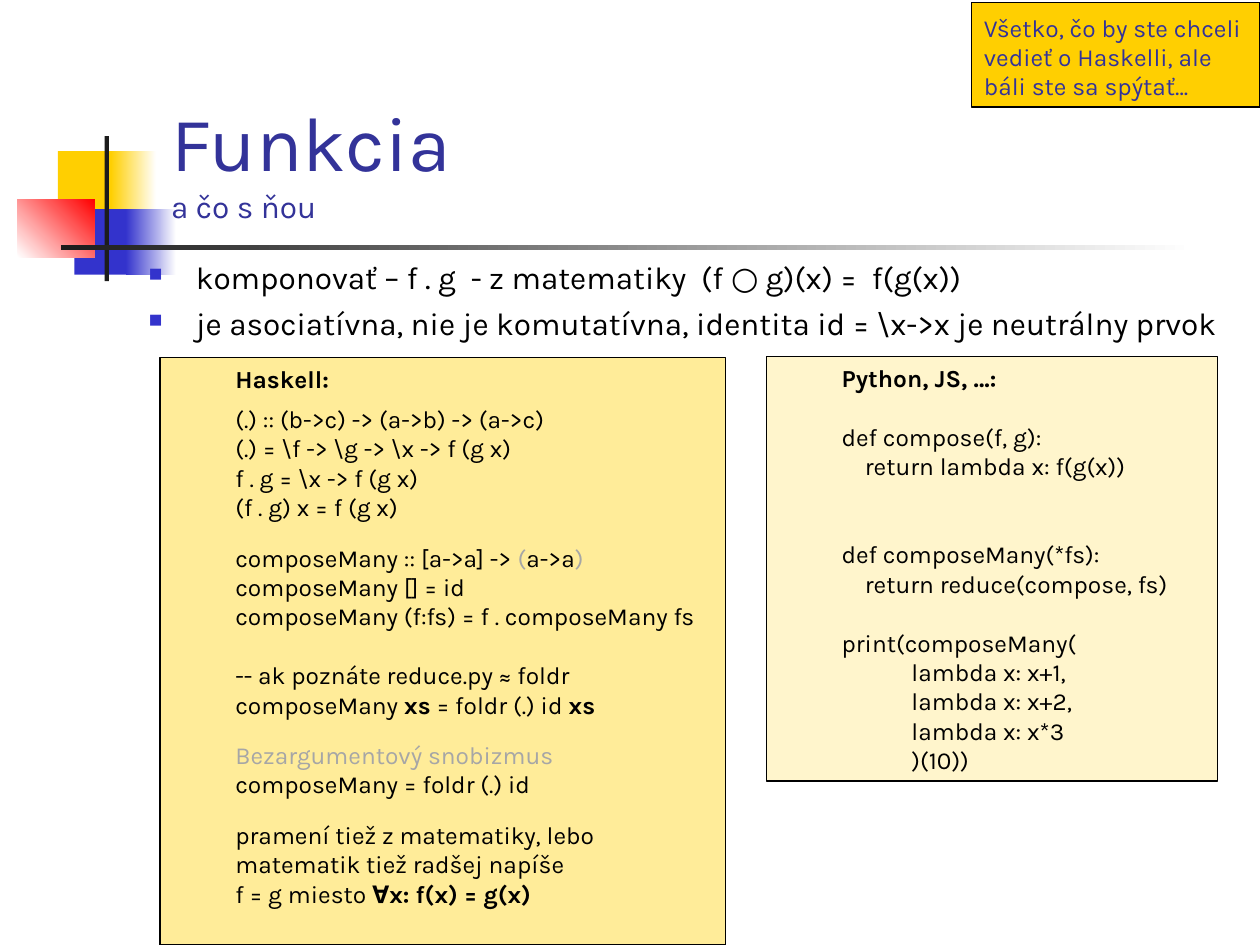
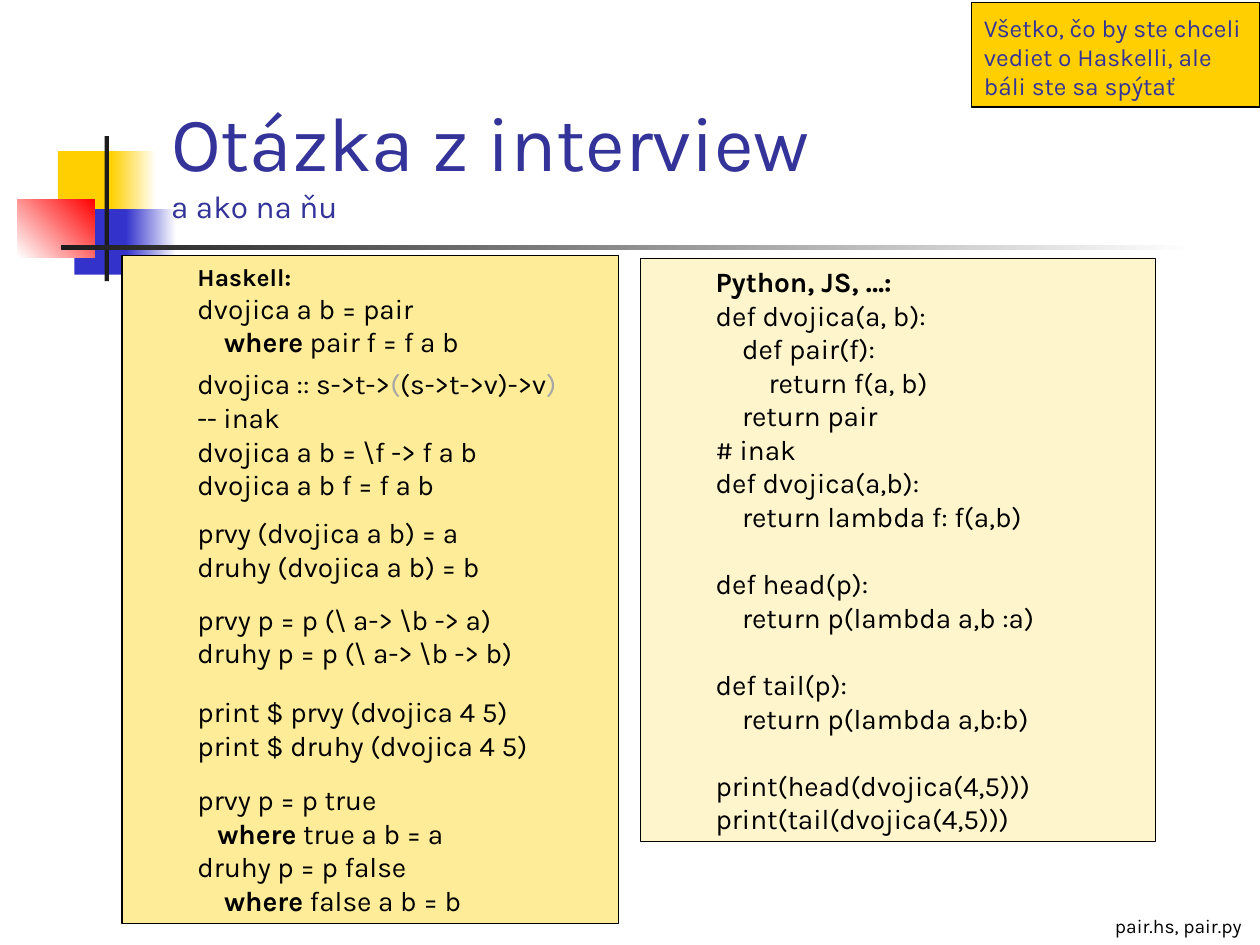
from dataclasses import dataclass

from lxml import etree
from pptx import Presentation
from pptx.dml.color import RGBColor
from pptx.enum import shapes, text
from pptx.oxml import ns
from pptx.util import Pt


@dataclass(frozen=True)
class Theme:
    font: str = "Karla"
    white: str = "FFFFFF"
    black: str = "000000"
    gold: str = "FFCF01"
    blue: str = "3333CC"
    red: str = "FF0000"
    coal: str = "1C1C1C"
    navy: str = "333399"
    pale: str = "A6A6A6"
    sand: str = "FFEC99"
    cream: str = "FFF5CC"
    title: int = 44
    body: int = 18
    code: int = 14
    large: int = 16
    foot: int = 11
    line: float = 1.2


T = Theme()


def rgb(tone):
    return RGBColor.from_string(tone)


def bold(words):
    return words, True, T.black


def pale(words):
    return words, False, T.pale


def add_run(para, words, size, tone=T.black, heavy=False):
    run = para.add_run()
    run.text = words
    font = run.font
    font.name, font.size, font.bold = T.font, Pt(size), heavy
    font.color.rgb = rgb(tone)


def add_block(slide, box, *tones, angle=0):
    shape = slide.shapes.add_shape(shapes.MSO_SHAPE.RECTANGLE, *map(Pt, box))
    shape.shadow.inherit = False
    shape.line.fill.background()
    if len(tones) == 1:
        shape.fill.solid()
        shape.fill.fore_color.rgb = rgb(tones[0])
    else:
        shape.fill.gradient()
        shape.fill.gradient_angle = angle
        for stop, tone in zip(shape.fill.gradient_stops, tones):
            stop.color.rgb = rgb(tone)
    return shape


def add_card(slide, box, tone, anchor):
    card = add_block(slide, box, tone)
    card.line.color.rgb = rgb(T.black)
    card.line.width = Pt(0.75)
    frame = card.text_frame
    frame.word_wrap = True
    frame.vertical_anchor = anchor
    return frame


def add_text(slide, box, anchor=text.MSO_ANCHOR.TOP):
    frame = slide.shapes.add_textbox(*map(Pt, box)).text_frame
    frame.word_wrap = True
    frame.vertical_anchor = anchor
    return frame


def next_para(frame, first):
    para = frame.paragraphs[0] if first else frame.add_paragraph()
    para.alignment = text.PP_ALIGN.LEFT
    return para


def set_indent(para, left, hang=0):
    props = para._p.get_or_add_pPr()
    props.set("marL", str(Pt(left)))
    props.set("indent", str(Pt(hang)))
    return props


def add_bullets(slide, box, items):
    frame = add_text(slide, box)
    for i, item in enumerate(items):
        para = next_para(frame, i == 0)
        props = set_indent(para, 27, -27)
        color = etree.SubElement(props, ns.qn("a:buClr"))
        etree.SubElement(color, ns.qn("a:srgbClr"), val=T.blue)
        etree.SubElement(props, ns.qn("a:buSzPct"), val="60000")
        etree.SubElement(props, ns.qn("a:buChar"), char="■")
        if i:
            para.space_before = Pt(4.5)
        add_run(para, item, T.body)


def add_code(slide, box, tone, size, head, lines):
    frame = add_card(slide, box, tone, text.MSO_ANCHOR.TOP)
    gap = 0
    for i, line in enumerate([head, *lines]):
        if isinstance(line, (int, float)):
            gap = line
            continue
        para = next_para(frame, i == 0)
        set_indent(para, 36)
        if gap:
            para.space_before = Pt(round(gap * T.line, 1))
            gap = 0
        for part in [line] if isinstance(line, str) else line:
            words, heavy, ink = (part, False, T.black) if isinstance(part, str) else part
            add_run(para, words, T.code if line is head and tone == T.sand else size,
                    ink, heavy)


def add_decor(slide):
    add_block(slide, (33.1, 86.4, 34.6, 37.4), T.gold)
    add_block(slide, (63.4, 86.4, 25.9, 37.4), T.gold, T.white)
    add_block(slide, (42.5, 119.5, 33.1, 37.4), T.blue)
    add_block(slide, (72, 119.5, 28.8, 37.4), T.blue, T.white)
    add_block(slide, (10.1, 113.8, 43.9, 33.1), T.white, T.red, angle=45)
    add_block(slide, (59.8, 77.8, 2.5, 82.8), T.coal)
    add_block(slide, (34.6, 140.2, 648, 2.5), T.coal, T.white)


def add_title(slide, title, sub):
    frame = add_text(slide, (90.7, 16.6, 613.4, 115.2), text.MSO_ANCHOR.BOTTOM)
    para = next_para(frame, True)
    add_run(para, title, T.title, T.navy)
    para.add_line_break()
    add_run(para, sub, T.body, T.navy)


def add_note(slide, words):
    frame = add_card(slide, (555.1, 1.4, 164.9, 59.8), T.gold, text.MSO_ANCHOR.BOTTOM)
    add_run(next_para(frame, True), words, T.code, T.navy)


def add_slide(deck, title, sub, note):
    slide = deck.slides.add_slide(deck.slide_layouts[6])
    add_decor(slide)
    add_title(slide, title, sub)
    add_note(slide, note)
    return slide


def make_compose(deck):
    slide = add_slide(deck, "Funkcia", "a čo s ňou",
                      "Všetko, čo by ste chceli vedieť o Haskelli, ale báli ste sa spýtať...")
    add_bullets(slide, (77.8, 144, 642.2, 379.4), [
        "komponovať – f . g  - z matematiky  (f ○ g)(x) =  f(g(x))",
        "je asociatívna, nie je komutatívna, identita id = \\x->x je neutrálny prvok",
    ])
    add_code(slide, (91.4, 204.5, 323.3, 335.5), T.sand, T.code, [bold("Haskell:")], [
        5,
        "(.) :: (b->c) -> (a->b) -> (a->c)",
        "(.) = \\f -> \\g -> \\x -> f (g x)",
        "f . g = \\x -> f (g x)",
        "(f . g) x = f (g x)",
        10,
        ["composeMany :: [a->a] -> ", pale("("), "a->a", pale(")")],
        "composeMany [] = id",
        "composeMany (f:fs) = f . composeMany fs",
        14,
        "-- ak poznáte reduce.py ≈ foldr",
        ["composeMany ", bold("xs"), " = foldr (.) id ", bold("xs")],
        10,
        [pale("Bezargumentový snobizmus")],
        "composeMany = foldr (.) id",
        10,
        "pramení tiež z matematiky, lebo",
        "matematik tiež radšej napíše",
        ["f = g miesto ", bold("Ɐx: f(x) = g(x)")],
    ])
    add_code(slide, (437.8, 203.8, 257.8, 242.6), T.cream, T.code, [bold("Python, JS, …:")], [
        14,
        "def compose(f, g):",
        "    return lambda x: f(g(x))",
        28,
        "def composeMany(*fs):",
        "    return reduce(compose, fs)",
        14,
        "print(composeMany(",
        "            lambda x: x+1,",
        "            lambda x: x+2,",
        "            lambda x: x*3",
        "            )(10))",
    ])


def make_pair(deck):
    slide = add_slide(deck, "Otázka z interview", "a ako na ňu",
                      "Všetko, čo by ste chceli vediet o Haskelli, ale báli ste sa spýtať")
    add_code(slide, (69.8, 146.2, 283.7, 381.6), T.sand, T.large, [bold("Haskell:")], [
        "dvojica a b = pair",
        ["    ", bold("where"), " pair f = f a b"],
        4,
        ["dvojica :: s->t->", pale("("), "(s->t->v)->v", pale(")")],
        "-- inak",
        "dvojica a b = \\f -> f a b",
        "dvojica a b f = f a b",
        7,
        "prvy (dvojica a b) = a",
        "druhy (dvojica a b) = b",
        9,
        "prvy p = p (\\ a-> \\b -> a)",
        "druhy p = p (\\ a-> \\b -> b)",
        12,
        "print $ prvy (dvojica 4 5)",
        "print $ druhy (dvojica 4 5)",
        10,
        "prvy p = p true",
        ["   ", bold("where"), " true a b = a"],
        "druhy p = p false",
        ["    ", bold("where"), " false a b = b"],
    ])
    add_code(slide, (365.8, 147.6, 294.5, 333.4), T.cream, T.large, [bold("Python, JS, …:")], [
        "def dvojica(a, b):",
        "    def pair(f):",
        "        return f(a, b)",
        "    return pair",
        "# inak",
        "def dvojica(a,b):",
        "    return lambda f: f(a,b)",
        16,
        "def head(p):",
        "    return p(lambda a,b :a)",
        16,
        "def tail(p):",
        "    return p(lambda a,b:b)",
        16,
        "print(head(dvojica(4,5)))",
        "print(tail(dvojica(4,5)))",
    ])
    foot = add_text(slide, (630, 519.1, 90, 20.9))
    add_run(next_para(foot, True), "pair.hs, pair.py", T.foot)


def main():
    deck = Presentation()
    deck.slide_width, deck.slide_height = Pt(720), Pt(540)
    make_compose(deck)
    make_pair(deck)
    deck.save("out.pptx")


if __name__ == "__main__":
    main()
